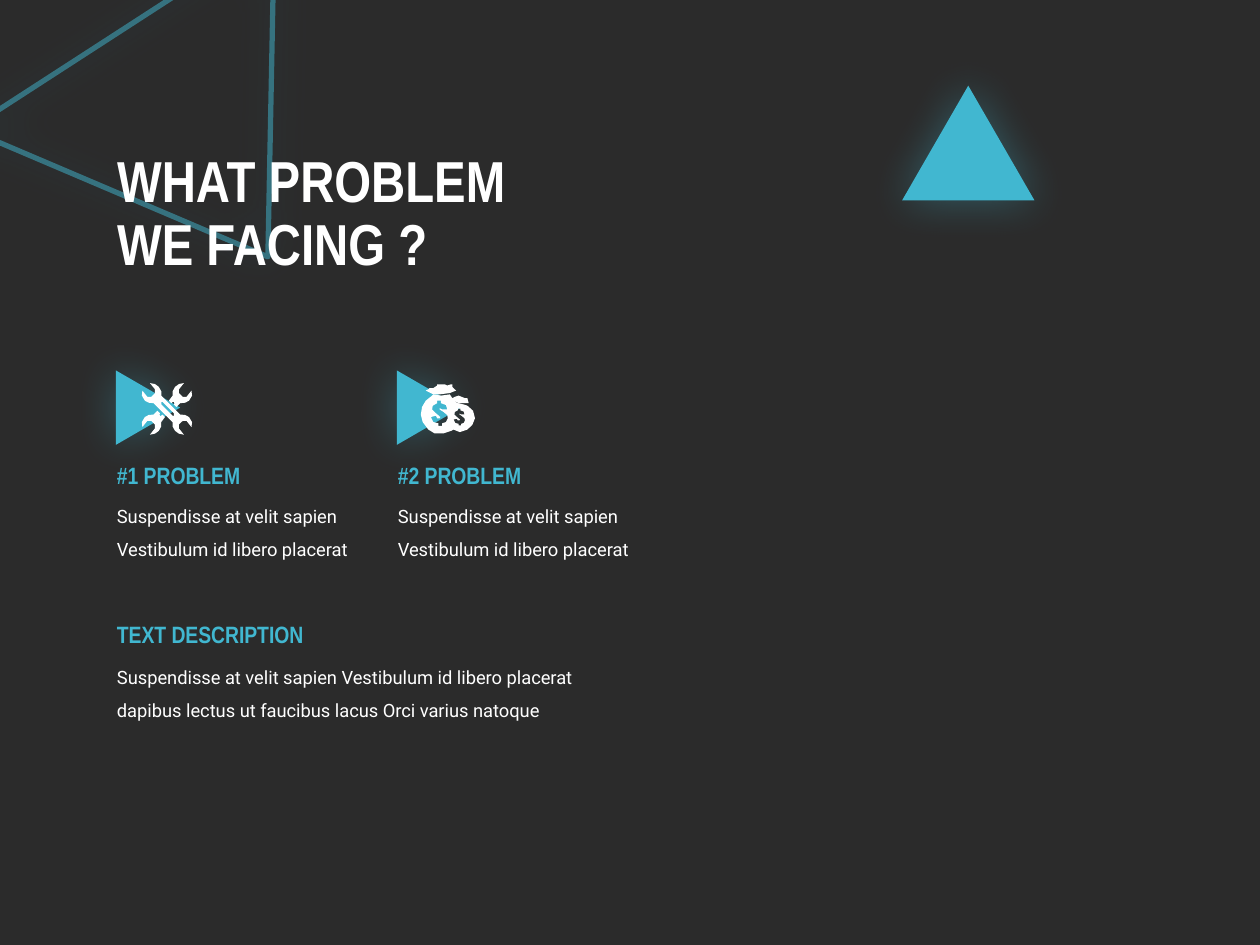
from lxml import etree
from pptx import Presentation
from pptx.dml.color import RGBColor
from pptx.enum.shapes import MSO_SHAPE
from pptx.enum.text import MSO_ANCHOR, MSO_AUTO_SIZE, PP_ALIGN
from pptx.oxml.ns import qn
from pptx.util import Inches, Pt

TRIANGLE = MSO_SHAPE.ISOSCELES_TRIANGLE
LEFT = PP_ALIGN.LEFT
MIDDLE = MSO_ANCHOR.MIDDLE
NO_FIT = MSO_AUTO_SIZE.NONE
GROW = MSO_AUTO_SIZE.SHAPE_TO_FIT_TEXT

DARK, TEAL, WHITE = "2B2B2B", "41B7D0", "FFFFFF"
HEADING_FONT, BODY_FONT = "Arial Narrow", "Roboto"

# Icon outlines, in hundredths of an inch
ICON_SIZE = 41
WRENCH_HEAD = [(16, 10), (16, 6.5), (14, 3), (11, 0.8), (7, 0), (11, 5), (11, 8),
               (8, 11), (5, 11), (1, 6), (0.6, 10), (3, 14), (6, 15.6), (10, 16)]
CROSSED_HANDLE = [(28, 19), (26, 17), (26.4, 16), (26, 15), (25, 15), (24, 16), (22, 14)]
HANDLE_SLOT = [(26, 26), (25, 26), (16, 17), (16, 15), (17, 15), (26, 24)]
MONEY_BAGS = [(9, 10), (4, 14), (1, 19), (0, 25), (1.5, 31), (6, 37), (11, 40), (18, 40),
              (24, 38), (26, 37), (31, 39), (37, 37), (41, 33), (43, 28), (41.5, 22),
              (37, 18), (34, 17), (29, 16), (25, 13), (30, 16), (38, 16), (37, 12),
              (35, 12), (30, 10), (27, 11), (25, 12), (23, 9), (16, 10), (10, 9)]
BAG_TIE = [(10, 9), (15, 9), (23, 8), (28, 6), (27, 5), (25, 3), (25, 1), (24, 1),
           (21, 2), (19, 1), (13, 1), (13, 2), (10, 4), (7, 4), (6, 5), (4, 6)]
DOLLAR = [(2, 8), (2, 10), (-1, 10), (-1, 8), (-5, 7), (-7, 3), (-3, 2), (-2, 4), (0, 4),
          (0.5, 3), (-3, 0), (-6, -3), (-5.5, -6), (-2, -8), (-2, -10), (1, -10), (1, -8),
          (5, -6.5), (6, -3), (2, -3), (0, -4), (0, -3), (3, -1), (6, 1.5), (6.5, 4), (5, 7)]


def color(value):
    return RGBColor.from_string(value)


def add_color(parent, value, opacity):
    element = etree.SubElement(parent, qn("a:srgbClr"), val=value)
    etree.SubElement(element, qn("a:alpha"), val=str(opacity * 1000))


def add_triangle(slide, left, top, width, height, rotation=0, outlined=False):
    """Glowing triangle, solid or as a translucent outline."""
    shape = slide.shapes.add_shape(
        TRIANGLE, Inches(left), Inches(top), Inches(width), Inches(height))
    shape.rotation = rotation
    if outlined:
        shape.fill.background()
        shape.line.width = Pt(3)
        shape.line.fill.solid()
        line = shape.line.fill.fore_color
        line.rgb = color(TEAL)
        line_color = shape.element.spPr.find(".//" + qn("a:ln")).find(".//" + qn("a:srgbClr"))
        etree.SubElement(line_color, qn("a:alpha"), val="50000")
    else:
        shape.fill.solid()
        shape.fill.fore_color.rgb = color(TEAL)
        shape.line.fill.background()
    shape.shadow.inherit = False
    effects = shape.element.spPr.find(qn("a:effectLst"))
    glow = etree.SubElement(effects, qn("a:outerShdw"), blurRad=str(Pt(25)),
                            dist="0", dir="0", algn="ctr", rotWithShape="0")
    add_color(glow, TEAL, 35)
    return shape


def format_text(frame, text, size, font, text_color, bold=False, spacing=1.0):
    frame.word_wrap = True
    frame.text = text
    paragraph = frame.paragraphs[0]
    paragraph.alignment = LEFT
    paragraph.line_spacing = spacing
    paragraph.font.size = Pt(size)
    paragraph.font.name = font
    paragraph.font.bold = bold
    paragraph.font.color.rgb = color(text_color)


def add_text(slide, left, top, width, height, text, *style, **options):
    box = slide.shapes.add_textbox(Inches(left), Inches(top), Inches(width), Inches(height))
    format_text(box.text_frame, text, *style, **options)
    box.text_frame.auto_size = GROW


def add_heading(slide, left, top, width, text):
    add_text(slide, left, top, width, 0.33, text, 13.5, HEADING_FONT, TEAL, bold=True)


def add_body(slide, left, top, width, text):
    add_text(slide, left, top, width, 0.6, text, 10.5, BODY_FONT, WHITE, spacing=1.5)


def add_outline(group, left, top, *contours):
    """White freeform; contours after the first are holes."""
    first, *holes = [[(Inches(left + x / 100), Inches(top + y / 100)) for x, y in contour]
                     for contour in contours]
    builder = group.shapes.build_freeform(*first[0])
    builder.add_line_segments(first[1:], close=True)
    for hole in holes:
        builder.move_to(*hole[0])
        builder.add_line_segments(hole[1:], close=True)
    shape = builder.convert_to_shape()
    shape.fill.solid()
    shape.fill.fore_color.rgb = color(WHITE)
    shape.line.fill.background()
    shape.shadow.inherit = False


def turned(points):
    return [(ICON_SIZE - x, ICON_SIZE - y) for x, y in points]


def add_wrenches(slide, left, top):
    group = slide.shapes.add_group_shape()
    crossed = [(ICON_SIZE - x, y) for x, y in WRENCH_HEAD] + CROSSED_HANDLE
    add_outline(group, left, top, crossed)
    add_outline(group, left, top, turned(crossed))
    add_outline(group, left, top, WRENCH_HEAD + turned(WRENCH_HEAD), HANDLE_SLOT)


def add_money_bags(slide, left, top):
    group = slide.shapes.add_group_shape()
    dollars = [[(center_x + x * scale, center_y + y * scale) for x, y in DOLLAR]
               for center_x, center_y, scale in ((15, 24, 1), (30.7, 27, 0.67))]
    add_outline(group, left, top, MONEY_BAGS, *dollars)
    add_outline(group, left, top, BAG_TIE)


def add_title(slide, left, top, width, height):
    title = slide.shapes.title
    title.left, title.top = Inches(left), Inches(top)
    title.width, title.height = Inches(width), Inches(height)
    frame = title.text_frame
    format_text(frame, "WHAT PROBLEM\vWE FACING ?", 33, HEADING_FONT, WHITE,
                bold=True, spacing=0.9)
    frame.vertical_anchor = MIDDLE
    frame.auto_size = NO_FIT
    return title


def add_problem(slide, left, top, number, add_icon, icon_offset):
    """Triangle with icon, heading and two lines of text."""
    add_triangle(slide, left + 0.05, top, 0.59, 0.51, rotation=90)
    add_body(slide, left, top + 0.89, 2.1,
             "Suspendisse at velit sapien Vestibulum id libero placerat")
    add_heading(slide, left, top + 0.63, 1.66, f"#{number} PROBLEM")
    add_icon(slide, left + icon_offset, top + 0.06)


def add_description(slide, left, top, width):
    add_body(slide, left, top + 0.28, width,
             "Suspendisse at velit sapien Vestibulum id libero placerat "
             "dapibus lectus ut faucibus lacus Orci varius natoque")
    add_heading(slide, left, top, 1.84, "TEXT DESCRIPTION")


def main():
    presentation = Presentation()
    presentation.slide_width, presentation.slide_height = Inches(10), Inches(7.5)
    slide = presentation.slides.add_slide(presentation.slide_layouts[0])
    slide.background.fill.solid()
    slide.background.fill.fore_color.rgb = color(DARK)
    subtitle = slide.placeholders[1].element
    subtitle.getparent().remove(subtitle)

    # Title over the outlined triangle
    title = add_title(slide, 0.83, 0.92, 4.22, 1.58)
    backdrop = add_triangle(slide, 0.1, 0.07, 2.89, 2.14, rotation=147.1, outlined=True)
    title.element.addprevious(backdrop.element)
    add_triangle(slide, 7.16, 0.68, 1.05, 0.91)

    # Problems and description
    problems = ((add_wrenches, 0.29), (add_money_bags, 0.28))
    for index, (add_icon, icon_offset) in enumerate(problems):
        add_problem(slide, 0.83 + index * 2.23, 2.98, index + 1, add_icon, icon_offset)
    add_description(slide, 0.83, 4.87, 3.85)
    presentation.save("out.pptx")


if __name__ == "__main__":
    main()
